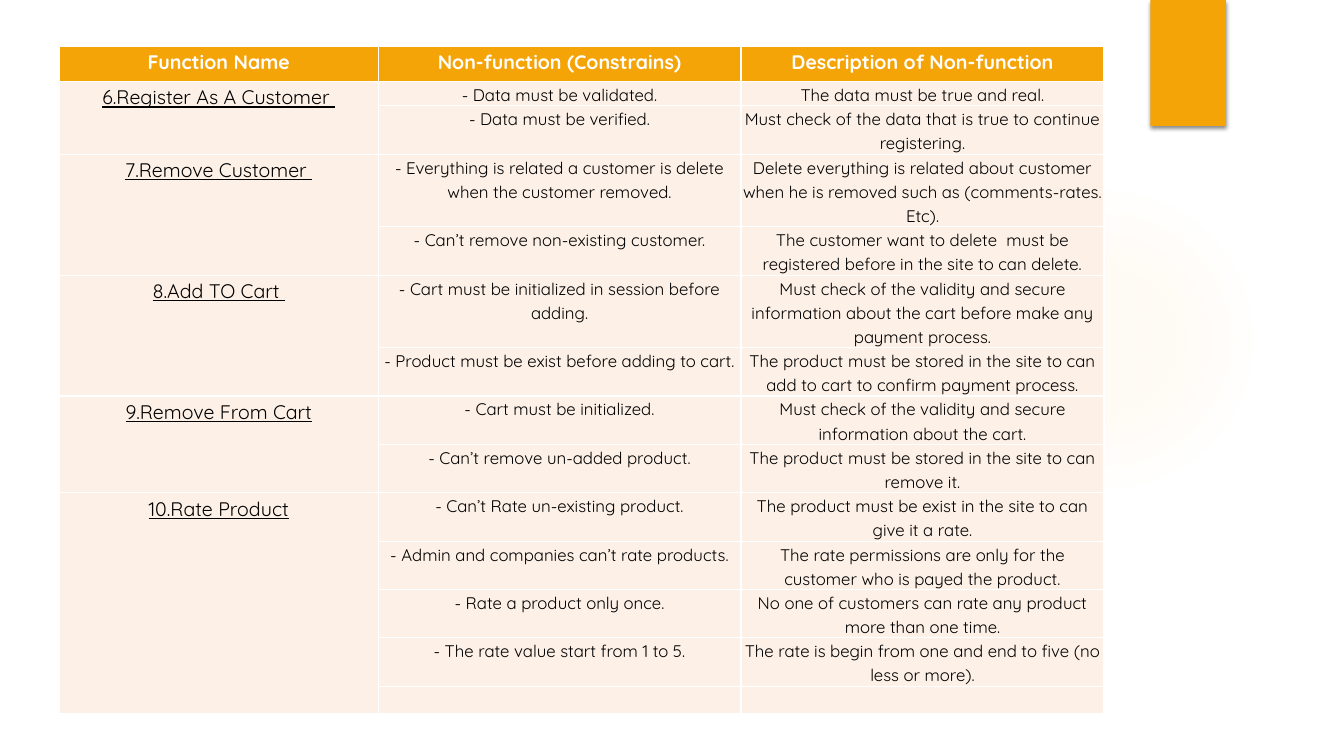
import lxml.etree
import pptx
import pptx.dml.color
import pptx.enum.shapes
import pptx.enum.text
import pptx.oxml
import pptx.oxml.ns
import pptx.util

Inches = pptx.util.Inches
RGBColor = pptx.dml.color.RGBColor
ORANGE = RGBColor(0xF5, 0xA4, 0x08)
GLOW = RGBColor(0xFA, 0xC9, 0x6A)
CREAM = RGBColor(0xFD, 0xF0, 0xE7)
WHITE = RGBColor(0xFF, 0xFF, 0xFF)
BLACK = RGBColor(0, 0, 0)
NAMESPACE = pptx.oxml.ns.nsdecls("a")
COLUMN_WIDTHS = [3.16, 3.6, 3.6]
TABLE_LEFT = 0.59
LINE_HEIGHT = 0.24

HEADINGS = ["Function Name", "Non-function (Constrains)", "Description of Non-function"]
FUNCTIONS = [
    ("6.Register As A Customer ", [
        ("- Data must be validated.", "The data must be true and real.", 1),
        ("- Data must be verified.",
         "Must check of the data that is true to continue registering.", 2),
    ]),
    ("7.Remove Customer ", [
        ("- Everything is related a customer is delete when the customer removed.",
         "Delete everything is related about customer when he is removed such as "
         "(comments-rates. Etc).", 3),
        ("- Can’t remove non-existing customer.",
         "The customer want to delete  must be registered before in the site to can delete.", 2),
    ]),
    ("8.Add TO Cart ", [
        ("- Cart must be initialized in session before adding.",
         "Must check of the validity and secure information about the cart before make any "
         "payment process.", 3),
        ("- Product must be exist before adding to cart.",
         "The product must be stored in the site to can add to cart to confirm payment process.", 2),
    ]),
    ("9.Remove From Cart", [
        ("- Cart must be initialized.",
         "Must check of the validity and secure information about the cart.", 2),
        ("- Can’t remove un-added product.",
         "The product must be stored in the site to can remove it.", 2),
    ]),
    ("10.Rate Product", [
        ("- Can’t Rate un-existing product.",
         "The product must be exist in the site to can give it a rate.", 2),
        ("- Admin and companies can’t rate products.",
         "The rate permissions are only for the customer who is payed the product.", 2),
        ("- Rate a product only once.",
         "No one of customers can rate any product more than one time.", 2),
        ("- The rate value start from 1 to 5.",
         "The rate is begin from one and end to five (no less or more).", 2),
        ("", "", 1.13),
    ]),
]


def write_cell(cell, text, size=12, color=BLACK, fill=CREAM, bold=False, underline=False):
    cell.margin_left = cell.margin_right = Inches(0.01)
    cell.margin_top = cell.margin_bottom = 0
    properties = cell._tc.get_or_add_tcPr()
    for side in ("lnL", "lnR", "lnT", "lnB"):
        properties.append(pptx.oxml.parse_xml(
            f'<a:{side} {NAMESPACE} w="12700"><a:solidFill><a:srgbClr val="{WHITE}"/>'
            f'</a:solidFill></a:{side}>'))
    cell.fill.solid()
    cell.fill.fore_color.rgb = fill
    paragraph = cell.text_frame.paragraphs[0]
    paragraph.alignment = pptx.enum.text.PP_ALIGN.CENTER
    paragraph.line_spacing = 1.15
    if not text:
        paragraph._p.append(pptx.oxml.parse_xml(
            f'<a:endParaRPr {NAMESPACE} sz="{size * 100}"/>'))
        return
    run = paragraph.add_run()
    run.text = text
    run.font.name = "Quicksand"
    run.font.size = pptx.util.Pt(size)
    run.font.color.rgb = color
    run.font.bold = bold
    run.font.underline = underline


def add_grid(slide, top, row_heights):
    frame = slide.shapes.add_table(
        len(row_heights), len(COLUMN_WIDTHS), Inches(TABLE_LEFT), Inches(top),
        Inches(sum(COLUMN_WIDTHS)), Inches(sum(row_heights)))
    table = frame.table
    table.first_row = False
    table.horz_banding = False
    for column, width in zip(table.columns, COLUMN_WIDTHS):
        column.width = Inches(width)
    for row, height in zip(table.rows, row_heights):
        row.height = Inches(height)
    return table


presentation = pptx.Presentation()
presentation.slide_width = Inches(13.33)
presentation.slide_height = Inches(7.5)
slide = presentation.slides.add_slide(presentation.slide_layouts[6])
shape_types = pptx.enum.shapes.MSO_SHAPE

glow = slide.shapes.add_shape(
    shape_types.OVAL, Inches(9.41), Inches(1.83), Inches(3.08), Inches(3.08))
glow.shadow.inherit = False
glow.line.fill.background()
glow.fill.gradient()
stops = "".join(
    f'<a:gs pos="{position * 1000}"><a:srgbClr val="{GLOW}">'
    f'<a:alpha val="{alpha * 1000}"/></a:srgbClr></a:gs>'
    for position, alpha in [(0, 7), (36, 6), (69, 0)])
gradient = glow._element.spPr.find(pptx.oxml.ns.qn("a:gradFill"))
gradient.getparent().replace(gradient, pptx.oxml.parse_xml(
    f'<a:gradFill {NAMESPACE}><a:gsLst>{stops}</a:gsLst><a:path path="circle">'
    '<a:fillToRect l="50000" t="50000" r="50000" b="50000"/></a:path></a:gradFill>'))

tab = slide.shapes.add_shape(
    shape_types.RECTANGLE, Inches(11.41), 0, Inches(0.75), Inches(1.25))
tab.shadow.inherit = False
tab.fill.solid()
tab.fill.fore_color.rgb = ORANGE
tab.line.fill.background()
effects = tab._element.spPr.find(pptx.oxml.ns.qn("a:effectLst"))
effects.append(pptx.oxml.parse_xml(
    f'<a:outerShdw {NAMESPACE} blurRad="38100" dist="25400" dir="5400000" rotWithShape="0">'
    f'<a:srgbClr val="{BLACK}"><a:alpha val="45000"/></a:srgbClr></a:outerShdw>'))

row_heights = [lines * LINE_HEIGHT for name, rules in FUNCTIONS for *texts, lines in rules]
rule_table = add_grid(slide, 0.81, row_heights)
row = 0
for name, rules in FUNCTIONS:
    first_row = row
    for constraint, description, lines in rules:
        write_cell(rule_table.cell(row, 0), name if row == first_row else "",
                   size=14, underline=True)
        write_cell(rule_table.cell(row, 1), constraint)
        write_cell(rule_table.cell(row, 2), description)
        row += 1
    rule_table.cell(first_row, 0).merge(rule_table.cell(row - 1, 0))

heading_table = add_grid(slide, 0.46, [0.35])
for column, heading in enumerate(HEADINGS):
    write_cell(heading_table.cell(0, column), heading,
               size=14, color=WHITE, fill=ORANGE, bold=True)

presentation.save("out.pptx")
